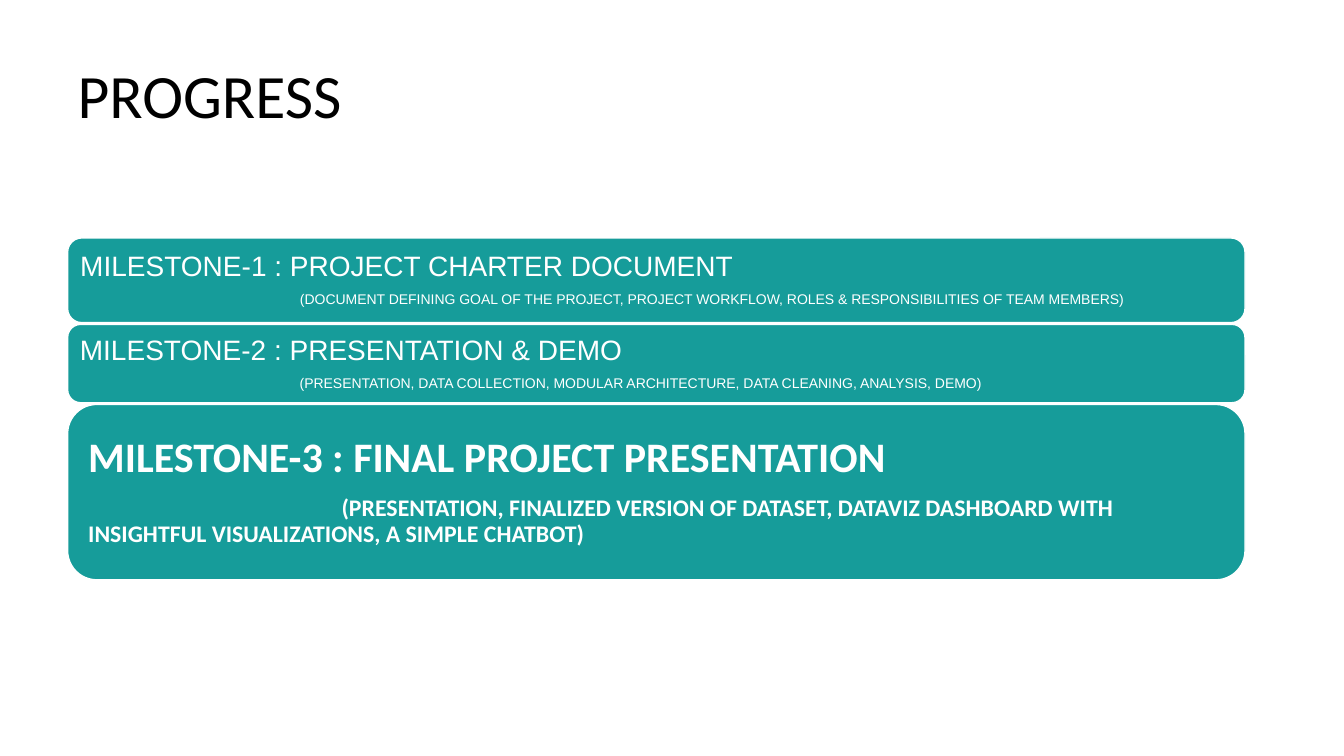
from pptx import Presentation
from pptx.dml.color import RGBColor
from pptx.enum.shapes import MSO_SHAPE
from pptx.enum.text import MSO_ANCHOR, PP_ALIGN
from pptx.util import Pt

ROUNDED = MSO_SHAPE.ROUNDED_RECTANGLE
LEFT = PP_ALIGN.LEFT
TOP, MIDDLE = MSO_ANCHOR.TOP, MSO_ANCHOR.MIDDLE
TEAL, WHITE, BLACK = "169C9A", "FFFFFF", "000000"
MARGIN, FIRST_TOP, WIDTH, GAP = 48.3, 170, 841, 1.2

SMALL = {"font": "Arial", "bold": False, "sizes": (20, 10), "inset": 6, "indent": 157}
LARGE = {"font": "Calibri", "bold": True, "sizes": (30, 17), "inset": 8.6, "indent": 181}
MILESTONES = [
    (60.5, SMALL, "MILESTONE-1 : PROJECT CHARTER DOCUMENT",
     "(DOCUMENT DEFINING GOAL OF THE PROJECT, PROJECT WORKFLOW, "
     "ROLES & RESPONSIBILITIES OF TEAM MEMBERS)"),
    (56, SMALL, "MILESTONE-2 : PRESENTATION & DEMO",
     "(PRESENTATION, DATA COLLECTION, MODULAR ARCHITECTURE, "
     "DATA CLEANING, ANALYSIS, DEMO)"),
    (125.3, LARGE, "MILESTONE-3 : FINAL PROJECT PRESENTATION",
     "(PRESENTATION, FINALIZED VERSION OF DATASET, DATAVIZ DASHBOARD WITH "
     "INSIGHTFUL VISUALIZATIONS, A SIMPLE CHATBOT)"),
]


def rgb(color):
    """Turn a hex string into a colour."""
    return RGBColor.from_string(color)


def apply(obj, formats):
    """Set each attribute of an object from a dict."""
    for name, value in formats.items():
        setattr(obj, name, value)


def write(p, text, size, color, font, bold=False):
    """Write one left-aligned paragraph of formatted text."""
    apply(p, {"alignment": LEFT, "line_spacing": 0.9})
    r = p.add_run()
    r.text = text
    apply(r.font, {"name": font, "size": Pt(size), "bold": bold})
    r.font.color.rgb = rgb(color)


def add_title(s, left, top, width, height):
    """Place the slide title in its placeholder."""
    sp = s.shapes.title
    apply(sp, {"left": Pt(left), "top": Pt(top), "width": Pt(width), "height": Pt(height)})
    tf = sp.text_frame
    apply(tf, {"vertical_anchor": TOP, "word_wrap": True})
    write(tf.paragraphs[0], "PROGRESS", 44, BLACK, "Calibri")


def add_milestone(s, left, top, width, height, style, heading, detail):
    """Draw a rounded bar with a heading and an indented detail line."""
    sp = s.shapes.add_shape(ROUNDED, Pt(left), Pt(top), Pt(width), Pt(height))
    sp.shadow.inherit = False
    sp.fill.solid()
    sp.fill.fore_color.rgb = rgb(TEAL)
    sp.line.color.rgb = rgb(WHITE)
    sp.line.width = Pt(1)
    tf = sp.text_frame
    inset = Pt(style["inset"])
    apply(tf, {"word_wrap": True, "vertical_anchor": MIDDLE, "margin_left": inset,
               "margin_right": inset, "margin_top": inset, "margin_bottom": inset})
    paragraphs = tf.paragraphs[0], tf.add_paragraph()
    for p, text, size in zip(paragraphs, (heading, detail), style["sizes"]):
        write(p, text, size, WHITE, style["font"], style["bold"])
    paragraphs[0].space_after = Pt(0.35 * style["sizes"][0])
    pPr = paragraphs[1]._p.get_or_add_pPr()
    pPr.set("marL", "0")
    pPr.set("indent", str(Pt(style["indent"])))


def add_milestones(s, left, top, width):
    """Stack the milestone bars downwards with equal gaps."""
    for height, style, heading, detail in MILESTONES:
        add_milestone(s, left, top, width, height, style, heading, detail)
        top += height + GAP


def main():
    """Build and save the progress slide."""
    prs = Presentation()
    prs.slide_width, prs.slide_height = Pt(960), Pt(540)
    s = prs.slides.add_slide(prs.slide_layouts[5])
    add_title(s, MARGIN, 43.2, 839, 89.3)
    add_milestones(s, MARGIN, FIRST_TOP, WIDTH)
    prs.save("out.pptx")


if __name__ == "__main__":
    main()
